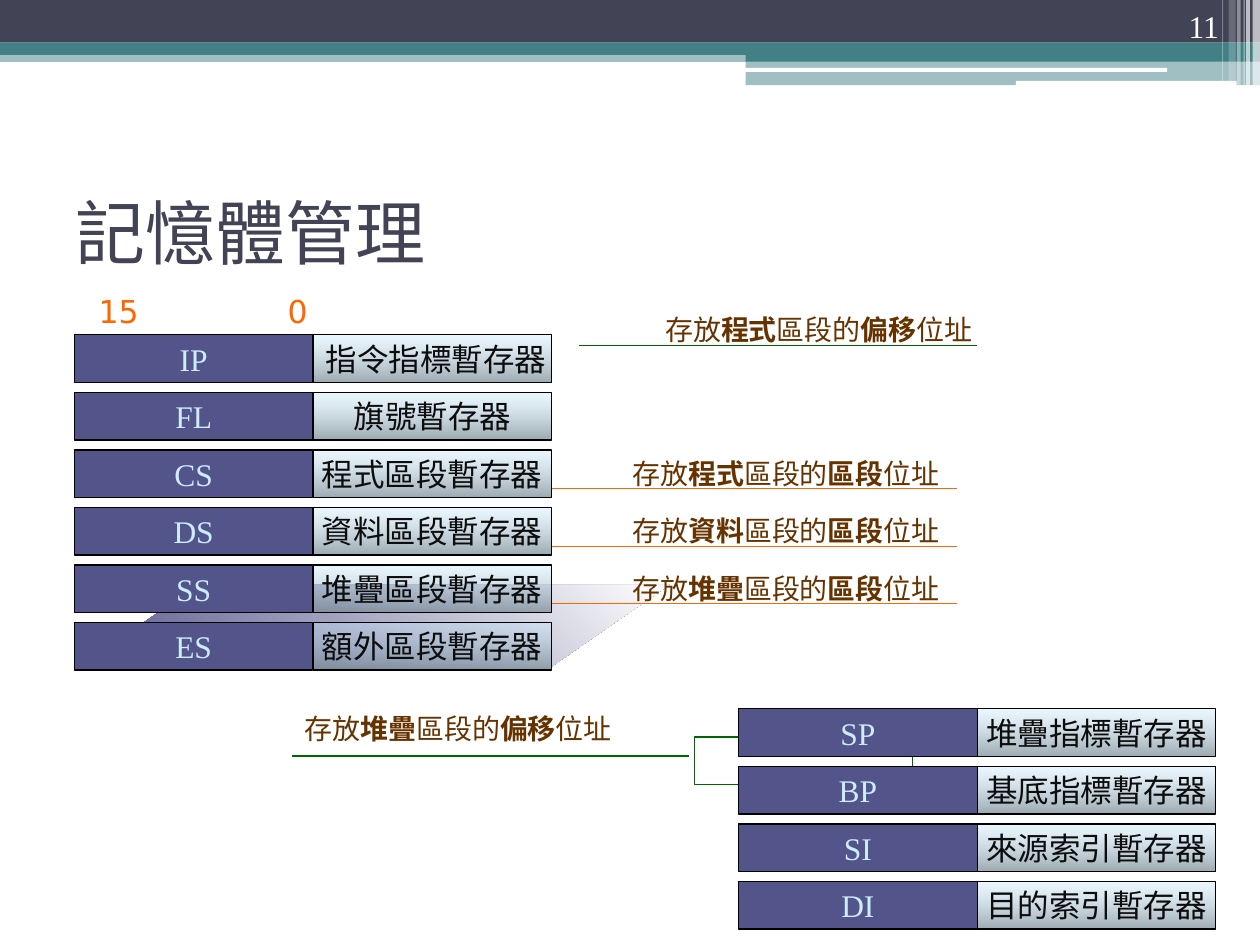
from dataclasses import dataclass
from typing import Optional

from lxml import etree
from pptx import Presentation
from pptx.dml.color import RGBColor
from pptx.enum.shapes import MSO_CONNECTOR, MSO_SHAPE
from pptx.enum.text import MSO_ANCHOR, MSO_AUTO_SIZE, PP_ALIGN
from pptx.oxml.ns import qn
from pptx.util import Cm, Pt

RECT, ROUND = MSO_SHAPE.RECTANGLE, MSO_SHAPE.ROUNDED_RECTANGLE
SLANT = MSO_SHAPE.PARALLELOGRAM
STRAIGHT = MSO_CONNECTOR.STRAIGHT
LEFT, CENTER, RIGHT = PP_ALIGN.LEFT, PP_ALIGN.CENTER, PP_ALIGN.RIGHT
TOP, MIDDLE, BOTTOM = MSO_ANCHOR.TOP, MSO_ANCHOR.MIDDLE, MSO_ANCHOR.BOTTOM
FIXED = MSO_AUTO_SIZE.NONE


@dataclass(frozen=True)
class Theme:
    navy: str = "424456"
    teal: str = "438086"
    white: str = "FFFFFF"
    violet: str = "53548A"
    ice: str = "CCECFF"
    slate: str = "758792"
    ink: str = "0D0D0D"
    black: str = "000000"
    orange: str = "FF6600"
    green: str = "006600"
    brown: str = "663300"
    serif: str = "Times New Roman"
    sans: str = "DejaVu Sans"
    title: int = 40
    label: int = 18
    note: int = 16
    stroke: float = 0.75


@dataclass(frozen=True)
class Box:
    """A place on the slide, in centimetres."""
    x: float
    y: float
    w: float
    h: float

    def span(self) -> tuple:
        return Cm(self.x), Cm(self.y), Cm(self.w), Cm(self.h)


@dataclass(frozen=True)
class Band:
    box: Box
    color: str
    alpha: Optional[int] = None
    kind: int = RECT


@dataclass(frozen=True)
class Reg:
    code: str
    name: str


@dataclass(frozen=True)
class Note:
    """A remark on an underline; its area and role are set in bold."""
    area: str
    role: str
    x: float
    y: float
    w: float
    start: float
    end: float
    base: float
    color: str


T = Theme()
ROW, PITCH, HALF = 0.96, 1.16, 4.81
MAIN_X, MAIN_Y = 1.5, 6.75
INDEX_X, INDEX_Y = 14.89, 14.29

BANDS = [
    Band(Box(0, 1.02, 25.4, 0.23), T.teal, 50),
    Band(Box(0, 0, 25.4, 0.86), T.navy),
    Band(Box(0, 0.86, 25.4, 0.25), T.teal),
    Band(Box(15.03, 0.99, 10.37, 0.25), T.teal),
    Band(Box(15.03, 1.22, 10.37, 0.5), T.teal, 50),
    Band(Box(15.02, 1.37, 8.51, 0.08), T.white, kind=ROUND),
    Band(Box(20.48, 1.63, 4.45, 0.1), T.white, kind=ROUND),
    Band(Box(25.25, 0, 0.15, 1.73), T.white, 65),
    Band(Box(25.12, 0, 0.08, 1.73), T.white, 65),
    Band(Box(25.07, 0, 0.02, 1.73), T.white, 60),
    Band(Box(24.94, 0, 0.07, 1.73), T.white, 40),
    Band(Box(24.77, 0, 0.14, 1.63), T.white, 20),
    Band(Box(24.64, 0, 0.02, 1.63), T.white, 30),
]
MAIN = [Reg("IP", " 指令指標暫存器"), Reg("FL", "旗號暫存器"),
        Reg("CS", "程式區段暫存器"), Reg("DS", "資料區段暫存器"),
        Reg("SS", "堆疊區段暫存器"), Reg("ES", "額外區段暫存器")]
INDEX = [Reg("SP", "堆疊指標暫存器"), Reg("BP", "基底指標暫存器"),
         Reg("SI", "來源索引暫存器"), Reg("DI", "目的索引暫存器")]
NOTES = [
    Note(area, "區段", 12.5, MAIN_Y + i * PITCH, 6.8,
         MAIN_X + 2 * HALF, 19.3, MAIN_Y + i * PITCH + 0.78, T.orange)
    for i, area in enumerate(("程式", "資料", "堆疊"), 2)
] + [
    Note("堆疊", "偏移", 5.89, 14.22, 7.4, 5.89, 13.89, 15.24, T.green),
    Note("程式", "偏移", 13.16, 6.17, 7.4, 11.68, 19.69, 6.96, T.green),
]


def rgb(color: str) -> RGBColor:
    return RGBColor.from_string(color)


def fade(shape, *levels: Optional[int]) -> None:
    """Set the opacity, in percent, of each fill colour in turn."""
    for node, level in zip(shape.element.spPr.iter(qn("a:srgbClr")), levels):
        if level is not None:
            etree.SubElement(node, qn("a:alpha")).set("val", str(level * 1000))


def style(font, color: str, size: int, face: str) -> None:
    font.color.rgb, font.size, font.name = rgb(color), Pt(size), face


def shape(slide, box: Box, kind: int = RECT):
    item = slide.shapes.add_shape(kind, *box.span())
    item.shadow.inherit = False
    item.line.fill.background()
    return item


def blend(item, first: str, last: str, angle: int) -> None:
    item.fill.gradient()
    item.fill.gradient_angle = angle
    for stop, color in zip(item.fill.gradient_stops, (first, last)):
        stop.color.rgb = rgb(color)


def stroke(line, color: str) -> None:
    line.color.rgb, line.width = rgb(color), Pt(T.stroke)


def band(slide, item: Band) -> None:
    bar = shape(slide, item.box, item.kind)
    bar.fill.solid()
    bar.fill.fore_color.rgb = rgb(item.color)
    fade(bar, item.alpha)


def label(item, text: str, color: str) -> None:
    stroke(item.line, T.black)
    frame = item.text_frame
    frame.text, frame.word_wrap, frame.vertical_anchor = text, False, MIDDLE
    frame.paragraphs[0].alignment = CENTER
    style(frame.paragraphs[0].runs[0].font, color, T.label, T.serif)


def table(slide, regs: list[Reg], x: float, y: float) -> None:
    """Stack registers, each a code cell beside a name cell."""
    for i, reg in enumerate(regs):
        top = y + i * PITCH
        code = shape(slide, Box(x, top, HALF, ROW))
        code.fill.solid()
        code.fill.fore_color.rgb = rgb(T.violet)
        label(code, reg.code, T.ice)
        name = shape(slide, Box(x + HALF, top, HALF, ROW))
        blend(name, T.ice, T.slate, 270)
        fade(name, 37, 72)
        label(name, reg.name, T.ink)


def words(slide, box: Box, anchor=TOP, align=LEFT):
    frame = slide.shapes.add_textbox(*box.span()).text_frame
    frame.word_wrap, frame.vertical_anchor = True, anchor
    frame.paragraphs[0].alignment = align
    return frame.paragraphs[0]


def note(slide, item: Note) -> None:
    para = words(slide, Box(item.x, item.y, item.w, 0.94))
    for i, text in enumerate(("存放", item.area, "區段的", item.role, "位址")):
        run = para.add_run()
        run.text = text
        style(run.font, T.brown, T.note, T.sans)
        run.font.bold = i % 2 == 1
    line = slide.shapes.add_connector(
        STRAIGHT, Cm(item.start), Cm(item.base), Cm(item.end), Cm(item.base))
    stroke(line.line, item.color)
    etree.SubElement(line.element.spPr, qn("a:effectLst"))


def head(slide) -> None:
    title = slide.shapes.title
    title.left, title.top, title.width, title.height = Box(1.27, 3.18, 22.86, 2.97).span()
    frame = title.text_frame
    frame.text, frame.vertical_anchor, frame.auto_size = "記憶體管理", MIDDLE, FIXED
    frame.paragraphs[0].alignment = LEFT
    style(frame.paragraphs[0].runs[0].font, T.navy, T.title, T.serif)
    page = words(slide, Box(22.71, 0, 2.11, 1.02), BOTTOM, RIGHT)
    page.text = "11"
    style(page.runs[0].font, T.white, T.label, T.serif)


def bits(slide) -> None:
    """Number the highest and lowest bit above the code cells."""
    para = words(slide, Box(1.74, 5.79, HALF, ROW), MIDDLE)
    tabs = etree.SubElement(para._p.get_or_add_pPr(), qn("a:tabLst"))
    etree.SubElement(tabs, qn("a:tab"), pos=str(Cm(3.81)), algn="l")
    para.text = "15\t0"
    for run in para.runs:
        style(run.font, T.orange, T.label, T.sans)


def main() -> None:
    deck = Presentation()
    deck.slide_width, deck.slide_height = Cm(25.4), Cm(19.05)
    slide = deck.slides.add_slide(deck.slide_layouts[5])
    for item in BANDS:
        band(slide, item)
    head(slide)
    glow = shape(slide, Box(MAIN_X, 11.79, 11.99, 1.73), SLANT)
    glow.adjustments[0] = 1.44
    blend(glow, T.violet, T.white, 45)
    table(slide, MAIN, MAIN_X, MAIN_Y)
    bits(slide)
    link = shape(slide, Box(14, 14.86, 4.39, ROW))
    link.fill.background()
    stroke(link.line, T.green)
    table(slide, INDEX, INDEX_X, INDEX_Y)
    for item in NOTES:
        note(slide, item)
    deck.save("out.pptx")


if __name__ == "__main__":
    main()
